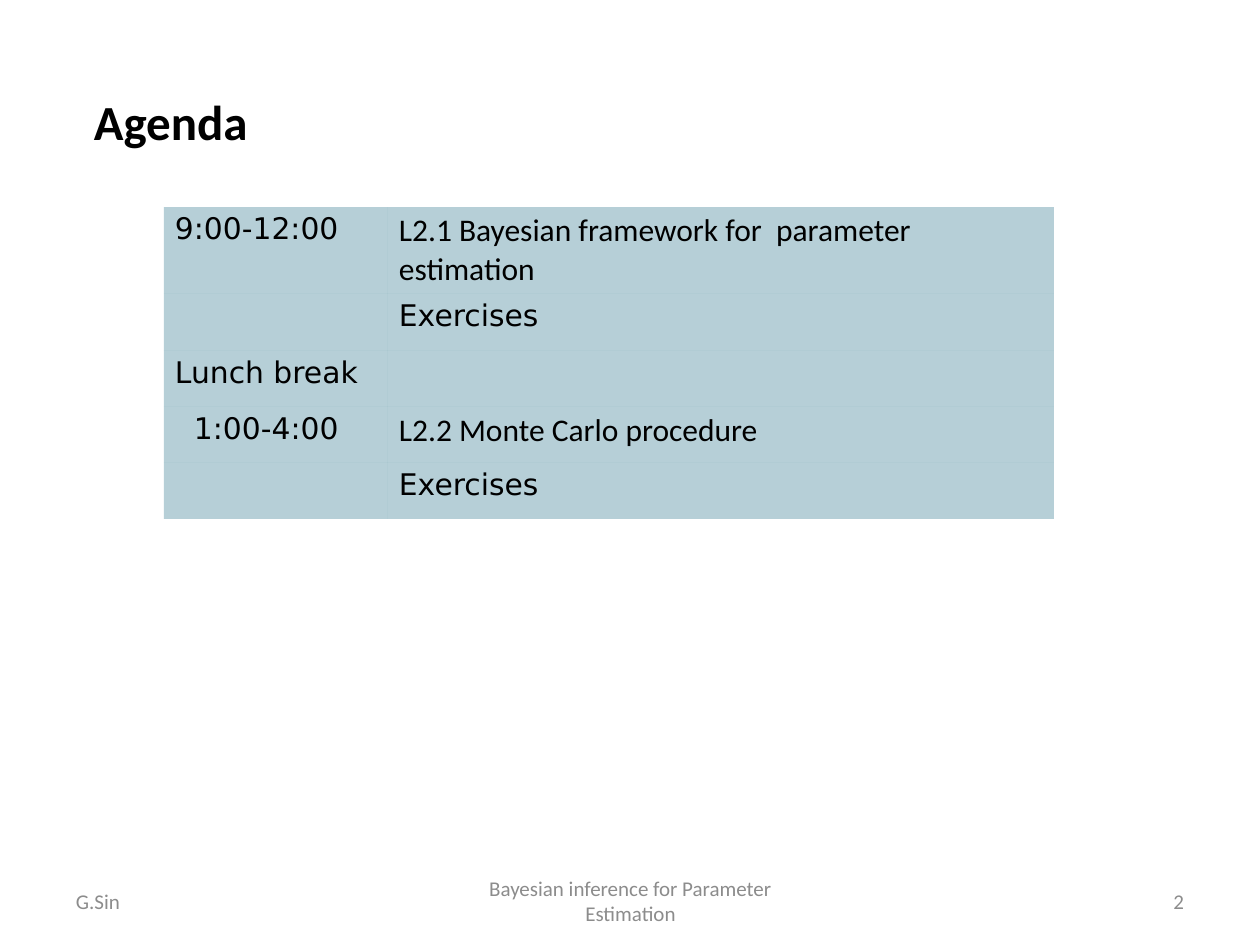
"""Build the agenda slide with its timetable and footer."""
from lxml.etree import SubElement as Sub
from pptx import Presentation
from pptx.dml.color import RGBColor as RGB
from pptx.enum.text import MSO_ANCHOR as Anchor, PP_ALIGN as Align
from pptx.oxml.ns import qn
from pptx.util import Pt

PX = 914400 // 126
BLACK = RGB(0x00, 0x00, 0x00)
GRAY = RGB(0x8C, 0x8C, 0x8C)
TEAL = RGB(0x6E, 0xA0, 0xB0)
SANS = "DejaVu Sans"
BODY = "Calibri"
NO_GRID = "{2D5ABB26-0587-4C30-8999-92F81FD0307C}"


def style(par, name, size, color, bold=False):
    par.font.name = name
    par.font.size = Pt(size)
    par.font.color.rgb = color
    par.font.bold = bold


def label(text, box, inset, size, color, align=Align.LEFT, bold=False):
    frame = slide.shapes.add_textbox(*[n * PX for n in box]).text_frame
    frame.word_wrap = True
    frame.vertical_anchor = Anchor.MIDDLE
    frame.margin_left = frame.margin_right = inset * PX
    frame.margin_top = frame.margin_bottom = 5 * PX
    par = frame.paragraphs[0]
    par.text = text
    par.alignment = align
    style(par, BODY, size, color, bold)


deck = Presentation()
deck.slide_width = 1260 * PX
deck.slide_height = 945 * PX
slide = deck.slides.add_slide(deck.slide_layouts[6])

label("Agenda", (84, 42, 1071, 157), 10, 28, BLACK, bold=True)

plan = [
    ("9:00-12:00", "L2.1 Bayesian framework for  parameter estimation", BODY),
    ("", "Exercises", SANS),
    ("Lunch break", "", SANS),
    ("1:00-4:00", "L2.2 Monte Carlo procedure", BODY),
    ("", "Exercises", SANS),
]
grid = slide.shapes.add_table(
    len(plan), 2, 164 * PX, 207 * PX, 890 * PX, 312 * PX).table
grid.first_row = grid.horz_banding = False
grid._tbl.tblPr.find(qn("a:tableStyleId")).text = NO_GRID
for col, wide in zip(grid.columns, (224, 666)):
    col.width = wide * PX
for row, high in zip(grid.rows, (87, 57, 56, 56, 56)):
    row.height = high * PX

for row, (time, topic, face) in zip(grid.rows, plan):
    for cell, text, name in zip(row.cells, (time, topic), (SANS, face)):
        cell.fill.solid()
        cell.fill.fore_color.rgb = TEAL
        tint = cell._tc.tcPr.find(qn("a:solidFill"))[0]
        Sub(tint, qn("a:alpha"), val="50000")
        cell.margin_left = (30 if text == "1:00-4:00" else 11) * PX
        cell.margin_right = 11 * PX
        cell.margin_top = cell.margin_bottom = 5 * PX
        par = cell.text_frame.paragraphs[0]
        par.text = text
        style(par, name, 18 if name == BODY else 17, BLACK)

for text, left, wide, align in (
    ("G.Sin", 63, 294, Align.LEFT),
    ("2", 903, 294, Align.RIGHT),
    ("Bayesian inference for Parameter Estimation", 431, 399, Align.CENTER),
):
    label(text, (left, 876, wide, 50), 13, 12, GRAY, align)

deck.save("out.pptx")
